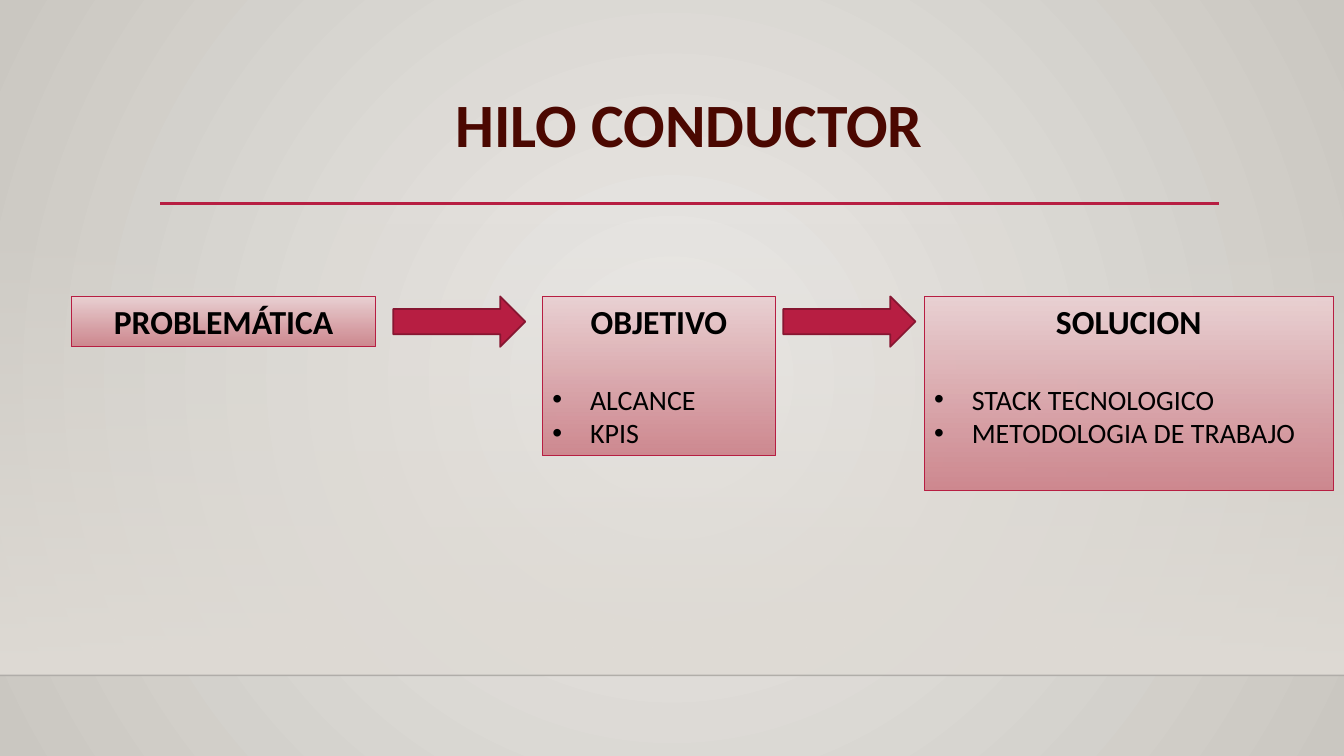
"""Builds the "Hilo conductor" slide: problem, objective and solution in a row."""
from lxml.etree import SubElement
from pptx import Presentation
from pptx.dml.color import RGBColor
from pptx.enum.shapes import MSO_CONNECTOR, MSO_SHAPE
from pptx.enum.text import MSO_ANCHOR, MSO_AUTO_SIZE, PP_ALIGN
from pptx.oxml.ns import qn
from pptx.util import Cm, Pt

SLIDE_WIDTH, SLIDE_HEIGHT = 33.87, 19.05
FLOOR_TOP = 17.02
ROW_TOP = 7.47
HEADING_HEIGHT = 1.27
CRIMSON, DARK_CRIMSON, BLACK = "B71E42", "871631", "000000"
STEPS = [
    ("PROBLEMÁTICA", [], 1.8, 7.67, HEADING_HEIGHT),
    ("OBJETIVO", ["ALCANCE", "KPIS"], 13.67, 5.87, 4.01),
    ("SOLUCION", ["STACK TECNOLOGICO", "METODOLOGIA DE TRABAJO"], 23.29, 10.31, 4.88),
]
ARROW_LEFTS = [9.91, 19.74]


def paint(color, hex_code):
    color.rgb = RGBColor.from_string(hex_code)


def set_opacity(parent, percent):
    for color in parent.iter(qn("a:srgbClr")):
        SubElement(color, qn("a:alpha"), val=str(percent * 1000))


def fill_gradient(fill, start, end):
    fill.gradient()
    for stop, hex_code in zip(fill.gradient_stops, (start, end)):
        paint(stop.color, hex_code)
    fill.gradient_stops[0].position, fill.gradient_stops[1].position = 0, 1


def fill_downward(shape, start, end, opacities):
    fill_gradient(shape.fill, start, end)
    shape.fill.gradient_angle = 270
    for stop, percent in zip(shape._element.spPr.iter(qn("a:gs")), opacities):
        set_opacity(stop, percent)


def set_background(slide):
    fill_gradient(slide.background.fill, "ECEAE7", "CAC7C1")
    gradient = slide._element.xpath(".//p:bg//a:gradFill")[0]
    for linear in gradient.findall(qn("a:lin")):
        gradient.remove(linear)
    circle = SubElement(gradient, qn("a:path"), path="circle")
    SubElement(circle, qn("a:fillToRect"), l="50000", t="50000", r="50000", b="50000")


def write(paragraph, text, size=20, bold=False, color=BLACK, align=PP_ALIGN.LEFT, bullet=False):
    paragraph.alignment = align
    run = paragraph.add_run()
    run.text = text
    run.font.name, run.font.size, run.font.bold = "Calibri", Pt(size), bold
    paint(run.font.color, color)
    if bullet:
        properties = paragraph._p.get_or_add_pPr()
        properties.set("marL", str(Cm(0.95)))
        properties.set("indent", str(-Cm(0.95)))
        SubElement(properties, qn("a:buFont"), typeface="Arial")
        SubElement(properties, qn("a:buChar"), char="•")


def add_block(slide, preset, left, top, width, height):
    block = slide.shapes.add_shape(preset, Cm(left), Cm(top), Cm(width), Cm(height))
    block.shadow.inherit = False
    return block


def outline(line, hex_code, width):
    paint(line.color, hex_code)
    line.width = Pt(width)


def add_rule(slide, left, right, top, color, width, opacity=100):
    rule = slide.shapes.add_connector(
        MSO_CONNECTOR.STRAIGHT, Cm(left), Cm(top), Cm(right), Cm(top))
    outline(rule.line, color, width)
    if opacity < 100:
        set_opacity(rule._element.spPr, opacity)
    SubElement(rule._element.spPr, qn("a:effectLst"))


def add_wall(slide):
    wall = add_block(slide, MSO_SHAPE.RECTANGLE, 0, 5.61, SLIDE_WIDTH, FLOOR_TOP - 5.61)
    fill_downward(wall, "DFDBD5", "DFDBD5", (0, 100))
    wall.line.fill.background()


def set_title(slide, text):
    title = slide.shapes.title
    title.left, title.top, title.width, title.height = Cm(4.04), Cm(2.24), Cm(26.67), Cm(2.92)
    frame = title.text_frame
    frame.auto_size = MSO_AUTO_SIZE.NONE
    frame.vertical_anchor = MSO_ANCHOR.TOP
    heading = frame.paragraphs[0]
    heading.line_spacing = 0.9
    write(heading, text, size=44, bold=True, color="4B0801", align=PP_ALIGN.CENTER)


def add_step(slide, heading, items, left, width, height):
    step = add_block(slide, MSO_SHAPE.RECTANGLE, left, ROW_TOP, width, height)
    fill_downward(step, "EAD1D3", "CD828A", (100, 92))
    outline(step.line, CRIMSON, 0.75)
    frame = step.text_frame
    frame.word_wrap = True
    frame.vertical_anchor = MSO_ANCHOR.TOP
    write(frame.paragraphs[0], heading, size=24, bold=True, align=PP_ALIGN.CENTER)
    if items:
        frame.paragraphs[0].space_after = Pt(29)
    for item in items:
        write(frame.add_paragraph(), item, bullet=True)


def add_arrow(slide, left):
    arrow = add_block(slide, MSO_SHAPE.RIGHT_ARROW, left, ROW_TOP, 3.33, HEADING_HEIGHT)
    arrow.fill.solid()
    paint(arrow.fill.fore_color, CRIMSON)
    outline(arrow.line, DARK_CRIMSON, 1.25)


def main():
    deck = Presentation()
    deck.slide_width, deck.slide_height = Cm(SLIDE_WIDTH), Cm(SLIDE_HEIGHT)
    slide = deck.slides.add_slide(deck.slide_layouts[5])
    set_background(slide)
    add_wall(slide)
    add_rule(slide, 0, SLIDE_WIDTH, FLOOR_TOP, "000001", 1, opacity=20)
    add_rule(slide, 4.04, 30.73, 5.13, CRIMSON, 2.5)
    set_title(slide, "HILO CONDUCTOR")
    for step in STEPS:
        add_step(slide, *step)
    for left in ARROW_LEFTS:
        add_arrow(slide, left)
    deck.save("out.pptx")


if __name__ == "__main__":
    main()
